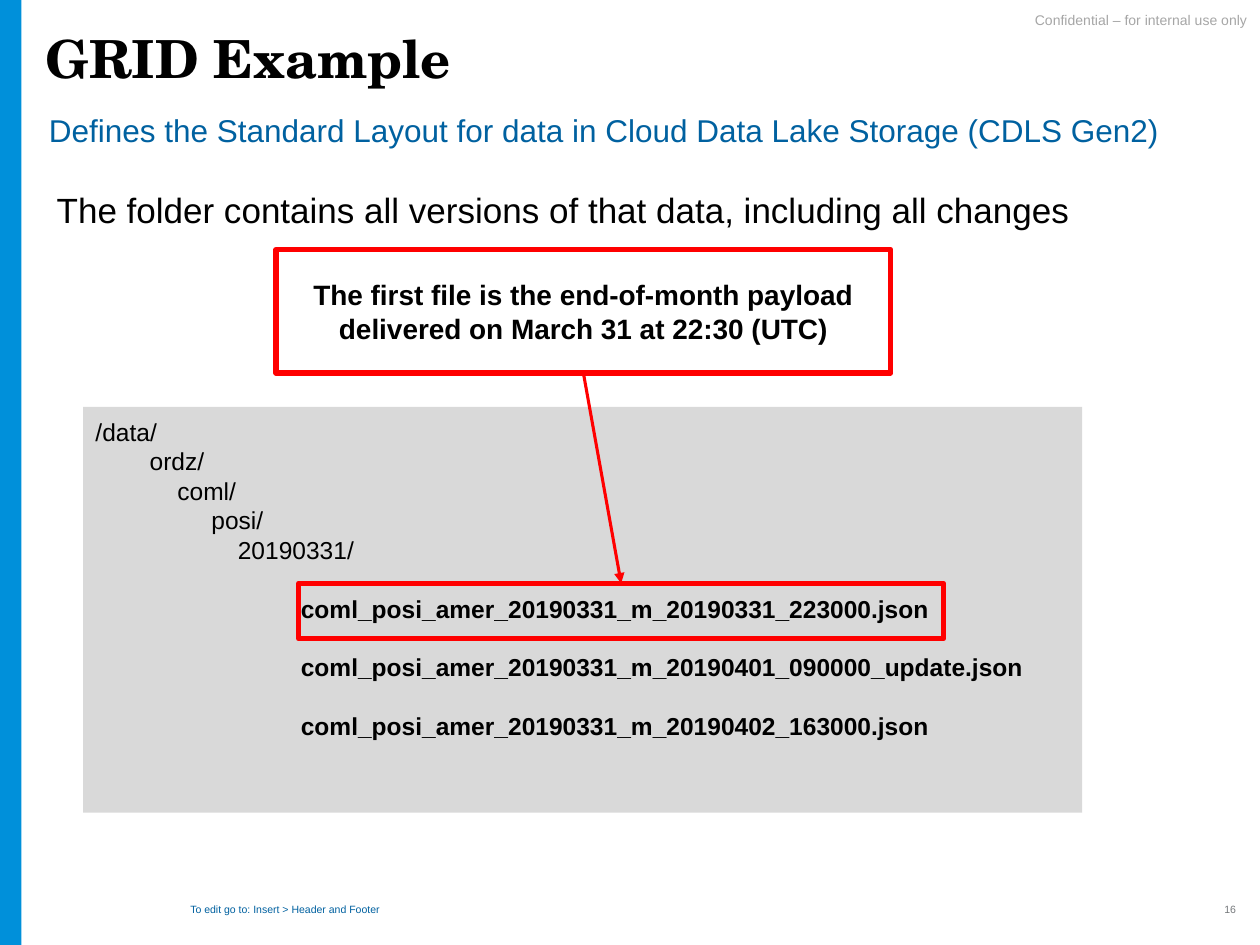
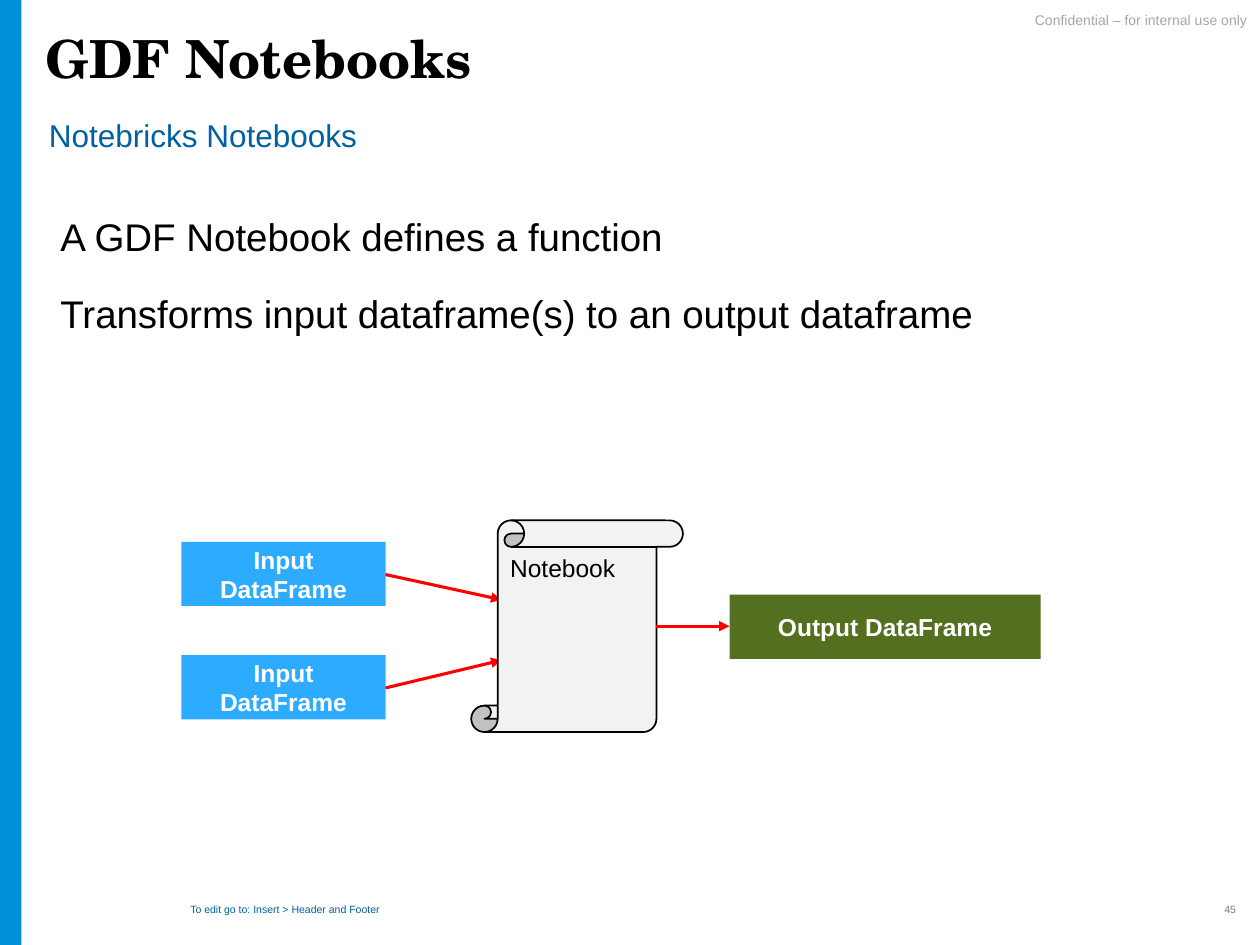
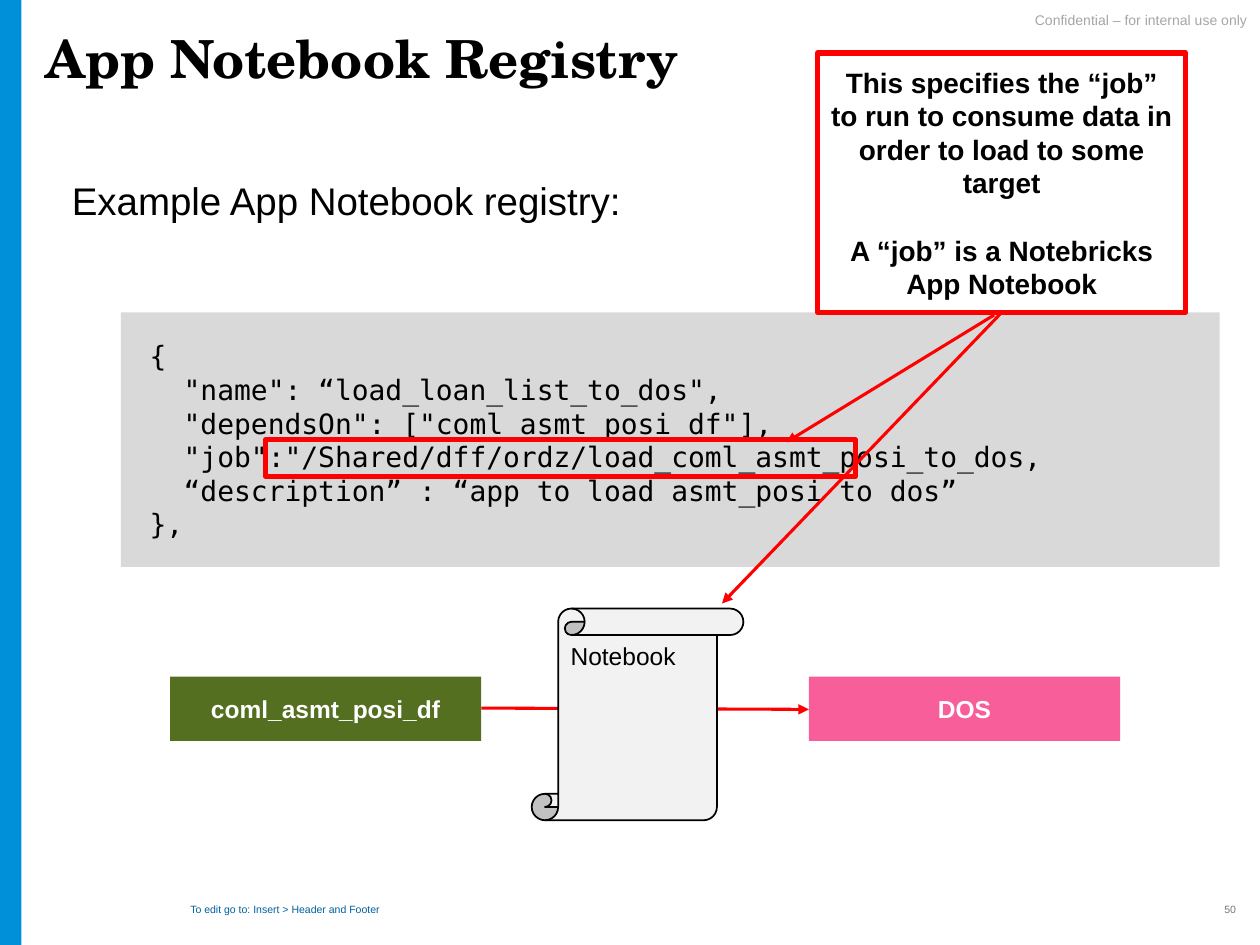
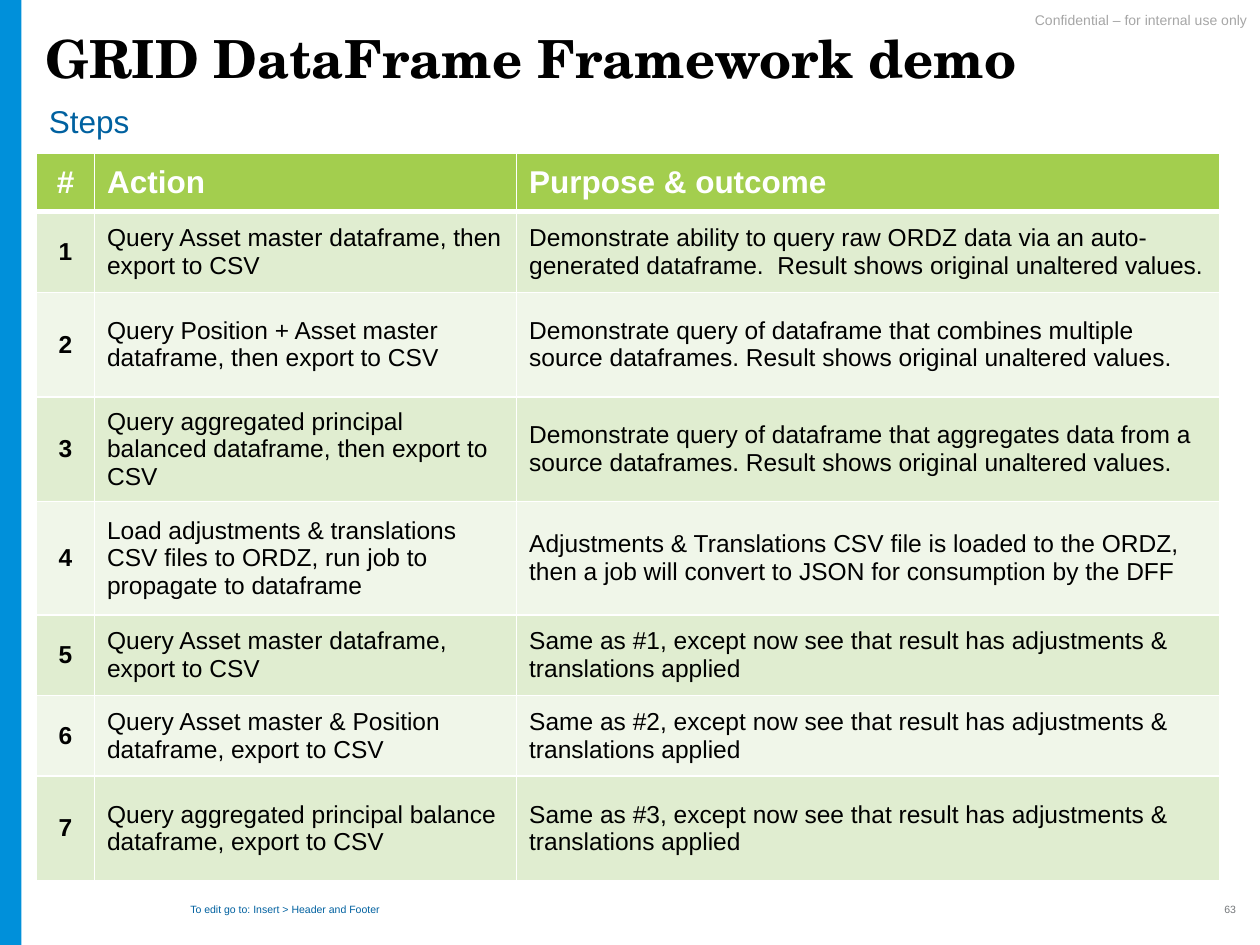
"""Builds four slides on a data lake layout, its notebooks and a demo plan."""
from dataclasses import dataclass
from typing import NamedTuple, Optional, Sequence, Union

from lxml.etree import SubElement
from pptx import Presentation
from pptx.dml.color import RGBColor
from pptx.enum.shapes import MSO_CONNECTOR, MSO_SHAPE
from pptx.enum.text import MSO_ANCHOR, PP_ALIGN
from pptx.oxml.ns import qn
from pptx.presentation import Presentation as Deck
from pptx.shapes.autoshape import Shape
from pptx.slide import Slide
from pptx.table import _Cell as Cell
from pptx.text.text import TextFrame
from pptx.util import Emu, Pt

EMU_PER_PX = 9144


class Box(NamedTuple):
    """Left, top, width and height in px."""
    left: int
    top: int
    width: int
    height: int


class Point(NamedTuple):
    """A position in px."""
    x: int
    y: int


class Insets(NamedTuple):
    """Left, top, right and bottom text margins in px."""
    left: int
    top: int
    right: int
    bottom: int


@dataclass(frozen=True)
class TextStyle:
    """Look of a run of text."""
    size: int
    colour: str
    bold: bool = False
    font: str = "Arial"


@dataclass(frozen=True)
class Theme:
    """Colours, line widths and type styles of the deck."""
    band: str = "0090DA"
    panel: str = "D9D9D9"
    scroll: str = "F2F2F2"
    black: str = "000000"
    white: str = "FFFFFF"
    accent: str = "FF0000"
    input: str = "2DACFF"
    frame: str = "546F1F"
    target: str = "F85E99"
    table_head: str = "A3CE4E"
    table_bands: tuple[str, str] = ("E0EDD0", "F0F6E9")
    thick: float = 3
    medium: float = 1.75
    thin: float = 1
    shape_leading: float = 1.2
    body_leading: float = 1.4
    tight_leading: float = 0.9
    title: TextStyle = TextStyle(30, "000000", True, "TeX Gyre Schola")
    subtitle: TextStyle = TextStyle(18, "0061A0")
    body: TextStyle = TextStyle(22, "000000")
    body_small: TextStyle = TextStyle(20, "000000")
    notice: TextStyle = TextStyle(8, "A6A6A6")
    footer: TextStyle = TextStyle(6, "0061A0")
    number: TextStyle = TextStyle(6, "75787B")
    callout: TextStyle = TextStyle(16, "000000", True)
    label: TextStyle = TextStyle(14, "FFFFFF", True)
    plain: TextStyle = TextStyle(14, "000000")
    strong: TextStyle = TextStyle(14, "000000", True)
    code: TextStyle = TextStyle(16, "000000", False, "DejaVu Sans Mono")
    header: TextStyle = TextStyle(18, "FFFFFF", True)


THEME = Theme()
NORMAL = Insets(10, 5, 10, 5)
FLAT = Insets(10, 0, 10, 0)
SNUG = Insets(7, 4, 7, 4)


@dataclass(frozen=True)
class Para:
    """One paragraph; leading is a factor or a fixed length."""
    text: str
    style: TextStyle
    align: PP_ALIGN = PP_ALIGN.LEFT
    leading: Union[float, Pt, None] = None
    before: float = 0
    indent: int = 0


@dataclass(frozen=True)
class Block:
    """A filled or outlined shape."""
    box: Box
    fill: Optional[str] = None
    line: Optional[str] = None
    line_width: float = THEME.thick
    kind: MSO_SHAPE = MSO_SHAPE.RECTANGLE


def px(length: int) -> Emu:
    """Turn px into EMU."""
    return Emu(length * EMU_PER_PX)


def colour(code: str) -> RGBColor:
    """Turn a hex code into a colour."""
    return RGBColor.from_string(code)


def shape_para(text: str, style: TextStyle, align: PP_ALIGN = PP_ALIGN.LEFT,
               before: float = 0, indent: int = 0) -> Para:
    """Make a paragraph with the fixed leading used inside shapes."""
    return Para(text, style, align, Pt(style.size * THEME.shape_leading), before, indent)


def body_para(text: str, style: TextStyle) -> Para:
    """Make a paragraph with the open leading of body text."""
    return Para(text, style, leading=THEME.body_leading, before=7.5)


def write(frame: TextFrame, paras: Sequence[Para]) -> None:
    """Fill a text frame run by run."""
    for index, item in enumerate(paras):
        para = frame.add_paragraph() if index else frame.paragraphs[0]
        para.alignment = item.align
        para.space_before = Pt(item.before)
        if item.leading is not None:
            para.line_spacing = item.leading
        if item.indent:
            para._p.get_or_add_pPr().set("marL", str(px(item.indent)))
        span = para.add_run()
        span.text = item.text
        span.font.name = item.style.font
        span.font.size = Pt(item.style.size)
        span.font.bold = item.style.bold
        span.font.color.rgb = colour(item.style.colour)


def set_frame(frame: TextFrame, insets: Insets, anchor: MSO_ANCHOR) -> None:
    """Set wrapping, margins and vertical anchor."""
    frame.word_wrap = True
    frame.vertical_anchor = anchor
    frame.margin_left, frame.margin_top, frame.margin_right, frame.margin_bottom = map(px, insets)


def add_text(page: Slide, box: Box, paras: Sequence[Para], insets: Insets = SNUG,
             anchor: MSO_ANCHOR = MSO_ANCHOR.TOP) -> None:
    """Add a text box."""
    frame = page.shapes.add_textbox(*map(px, box)).text_frame
    set_frame(frame, insets, anchor)
    write(frame, paras)


def add_block(page: Slide, block: Block, paras: Sequence[Para] = (),
              insets: Insets = NORMAL, anchor: MSO_ANCHOR = MSO_ANCHOR.MIDDLE) -> Shape:
    """Add a shape with optional text."""
    shape = page.shapes.add_shape(block.kind, *map(px, block.box))
    shape.shadow.inherit = False
    if block.fill:
        shape.fill.solid()
        shape.fill.fore_color.rgb = colour(block.fill)
    else:
        shape.fill.background()
    if block.line:
        shape.line.color.rgb = colour(block.line)
        shape.line.width = Pt(block.line_width)
    else:
        shape.line.fill.background()
    set_frame(shape.text_frame, insets, anchor)
    write(shape.text_frame, paras)
    return shape


def add_arrow(page: Slide, start: Point, end: Point) -> None:
    """Add a red arrow."""
    arrow = page.shapes.add_connector(MSO_CONNECTOR.STRAIGHT, *map(px, (*start, *end)))
    arrow.line.color.rgb = colour(THEME.accent)
    arrow.line.width = Pt(THEME.medium)
    SubElement(arrow.line._get_or_add_ln(), qn("a:tailEnd"), type="triangle")
    SubElement(arrow._element.spPr, qn("a:effectLst"))


def add_highlight(page: Slide, box: Box, paras: Sequence[Para] = ()) -> None:
    """Add a red outline, with text when it is a callout."""
    add_block(page, Block(box, line=THEME.accent), paras, FLAT)


def add_label(page: Slide, box: Box, text: str, fill: str) -> None:
    """Add a filled box with a white label."""
    add_block(page, Block(box, fill), [shape_para(text, THEME.label, PP_ALIGN.CENTER)])


def add_notebook(page: Slide, left: int, top: int) -> None:
    """Add the scroll that stands for a notebook."""
    scroll = Block(Box(left, top, 168, 168), THEME.scroll, THEME.black, THEME.thin,
                   MSO_SHAPE.VERTICAL_SCROLL)
    add_block(page, scroll, [shape_para("Notebook", THEME.plain)], anchor=MSO_ANCHOR.TOP)


def add_page(deck: Deck, title: str, number: int, subtitle: str = "",
             subtitle_top: int = 84) -> Slide:
    """Add a slide with the band, notice, titles and footer."""
    page = deck.slides.add_slide(deck.slide_layouts[6])
    add_text(page, Box(694, 11, 306, 23),
             [Para("Confidential – for internal use only", THEME.notice, PP_ALIGN.RIGHT,
                   THEME.tight_leading)], FLAT)
    add_block(page, Block(Box(0, 0, 17, 750), THEME.band))
    add_text(page, Box(29, 22, 959, 72), [Para(title, THEME.title, leading=THEME.tight_leading)])
    if subtitle:
        add_text(page, Box(29, subtitle_top, 939, 34), [body_para(subtitle, THEME.subtitle)],
                 FLAT, MSO_ANCHOR.BOTTOM)
    add_text(page, Box(144, 714, 338, 16),
             [Para("To edit go to: Insert > Header and Footer", THEME.footer)],
             anchor=MSO_ANCHOR.MIDDLE)
    add_text(page, Box(914, 702, 74, 40), [Para(str(number), THEME.number, PP_ALIGN.RIGHT)],
             anchor=MSO_ANCHOR.MIDDLE)
    return page


def build_example(deck: Deck) -> None:
    """Show the folder tree and its first file."""
    page = add_page(deck, "GRID Example", 16,
                    "Defines the Standard Layout for data in Cloud Data Lake Storage (CDLS Gen2)")
    add_text(page, Box(38, 132, 900, 101),
             [body_para("The folder contains all versions of that data, including all changes",
                        THEME.body_small)])
    folders = [("/data/", 0), ("ordz/", 43), ("coml/", 65), ("posi/", 92), ("20190331/", 113)]
    files = ["20190331_223000", "20190401_090000_update", "20190402_163000"]
    blank_line = THEME.plain.size * THEME.shape_leading
    tree = [shape_para(name, THEME.plain, indent=indent) for name, indent in folders]
    tree += [shape_para(f"coml_posi_amer_20190331_m_{name}.json", THEME.strong,
                        before=blank_line, indent=163) for name in files]
    add_block(page, Block(Box(66, 323, 793, 322), THEME.panel), tree,
              Insets(10, 8, 10, 0), MSO_ANCHOR.TOP)
    add_highlight(page, Box(237, 463, 512, 44))
    add_highlight(page, Box(219, 198, 488, 98),
                  [shape_para("The first file is the end-of-month payload delivered "
                              "on March 31 at 22:30 (UTC)", THEME.callout, PP_ALIGN.CENTER)])
    add_arrow(page, Point(463, 296), Point(493, 463))


def build_notebooks(deck: Deck) -> None:
    """Show a notebook turning inputs into an output."""
    page = add_page(deck, "GDF Notebooks", 45, "Notebricks Notebooks", 88)
    add_text(page, Box(41, 150, 939, 235),
             [body_para(text, THEME.body) for text in (
                 "A GDF Notebook defines a function",
                 "Transforms input dataframe(s) to an output dataframe")])
    for top, end in ((430, 476), (520, 524)):
        add_label(page, Box(144, top, 162, 51), "Input DataFrame", THEME.input)
        add_arrow(page, Point(306, top + 26), Point(398, end))
    add_label(page, Box(579, 472, 247, 51), "Output DataFrame", THEME.frame)
    add_notebook(page, 374, 413)
    add_arrow(page, Point(521, 497), Point(579, 497))


def build_registry(deck: Deck) -> None:
    """Show a registry entry and the job it names."""
    page = add_page(deck, "App Notebook Registry", 50)
    add_text(page, Box(50, 122, 939, 553),
             [body_para("Example App Notebook registry:", THEME.body)])
    outer, inner = 13, 40
    entry = [
        ("{", outer),
        ('"name": “load_loan_list_to_dos",', inner),
        ('"dependsOn": ["coml_asmt_posi_df"],', inner),
        ('"job":"/Shared/dff/ordz/load_coml_asmt_posi_to_dos,', inner),
        ("“description” : “app to load asmt_posi to dos”", inner),
        ("},", outer),
    ]
    add_block(page, Block(Box(96, 248, 872, 202), THEME.panel),
              [shape_para(text, THEME.code, indent=indent) for text, indent in entry], FLAT)
    add_label(page, Box(642, 537, 247, 51), "DOS", THEME.target)
    add_arrow(page, Point(382, 562), Point(642, 563))
    add_arrow(page, Point(795, 248), Point(573, 479))
    add_highlight(page, Box(649, 42, 292, 206), [
        shape_para("This specifies the “job” to run to consume data in order to load "
                   "to some target", THEME.callout, PP_ALIGN.CENTER),
        shape_para("A “job” is a Notebricks App Notebook", THEME.callout, PP_ALIGN.CENTER,
                   before=THEME.callout.size * THEME.shape_leading),
    ])
    add_highlight(page, Box(211, 349, 468, 29))
    add_notebook(page, 422, 483)
    add_arrow(page, Point(789, 250), Point(624, 351))
    add_label(page, Box(135, 537, 247, 51), "coml_asmt_posi_df", THEME.frame)


class Step(NamedTuple):
    """One row of the demo plan."""
    height: int
    action: str
    purpose: str


UNALTERED = "Result shows original unaltered values."
APPLIED = "except now see that result has adjustments & translations applied"
STEPS = [
    Step(64, "Query Asset master dataframe, then export to CSV",
         "Demonstrate ability to query raw ORDZ data via an auto-generated dataframe.  "
         + UNALTERED),
    Step(83, "Query Position + Asset master dataframe, then export to CSV",
         "Demonstrate query of dataframe that combines multiple source dataframes. " + UNALTERED),
    Step(83, "Query aggregated principal balanced dataframe, then export to CSV",
         "Demonstrate query of dataframe that aggregates data from a source dataframes. "
         + UNALTERED),
    Step(90, "Load adjustments & translations CSV files to ORDZ, run job to propagate to dataframe",
         "Adjustments & Translations CSV file is loaded to the ORDZ, then a job will convert "
         "to JSON for consumption by the DFF"),
    Step(64, "Query Asset master dataframe, export to CSV", f"Same as #1, {APPLIED}"),
    Step(64, "Query Asset master & Position dataframe, export to CSV", f"Same as #2, {APPLIED}"),
    Step(83, "Query aggregated principal balance dataframe, export to CSV",
         f"Same as #3, {APPLIED}"),
]


def fill_cell(cell: Cell, para: Para, fill: str, bottom: float) -> None:
    """Set the borders, fill and text of a cell."""
    properties = cell._tc.get_or_add_tcPr()
    widths = {"L": THEME.thin, "R": THEME.thin, "T": THEME.thin, "B": bottom}
    for side, width in widths.items():
        border = SubElement(properties, qn(f"a:ln{side}"), w=str(Pt(width)))
        paint = SubElement(border, qn("a:solidFill"))
        SubElement(paint, qn("a:srgbClr"), val=THEME.white)
    cell.fill.solid()
    cell.fill.fore_color.rgb = colour(fill)
    cell.vertical_anchor = MSO_ANCHOR.MIDDLE
    write(cell.text_frame, [para])


def build_demo(deck: Deck) -> None:
    """Show the demo plan as a table."""
    page = add_page(deck, "GRID DataFrame Framework demo", 63, "Steps", 77)
    rows = [Step(46, "Action", "Purpose & outcome"), *STEPS]
    table = page.shapes.add_table(len(rows), 3, *map(px, Box(29, 122, 939, 574))).table
    for column, width in zip(table.columns, (46, 335, 558)):
        column.width = px(width)
    for index, step in enumerate(rows):
        table.rows[index].height = px(step.height)
        heading = index == 0
        fill = THEME.table_head if heading else THEME.table_bands[(index - 1) % 2]
        key_style = THEME.header if heading else THEME.strong
        text_style = THEME.header if heading else THEME.plain
        paras = [Para("#" if heading else str(index), key_style, PP_ALIGN.CENTER),
                 Para(step.action, text_style), Para(step.purpose, text_style)]
        for column, para in enumerate(paras):
            fill_cell(table.cell(index, column), para, fill,
                      THEME.thick if heading else THEME.thin)


def main() -> None:
    """Build and save the deck."""
    deck = Presentation()
    deck.slide_width, deck.slide_height = px(1000), px(750)
    for build in (build_example, build_notebooks, build_registry, build_demo):
        build(deck)
    deck.save("out.pptx")


if __name__ == "__main__":
    main()
